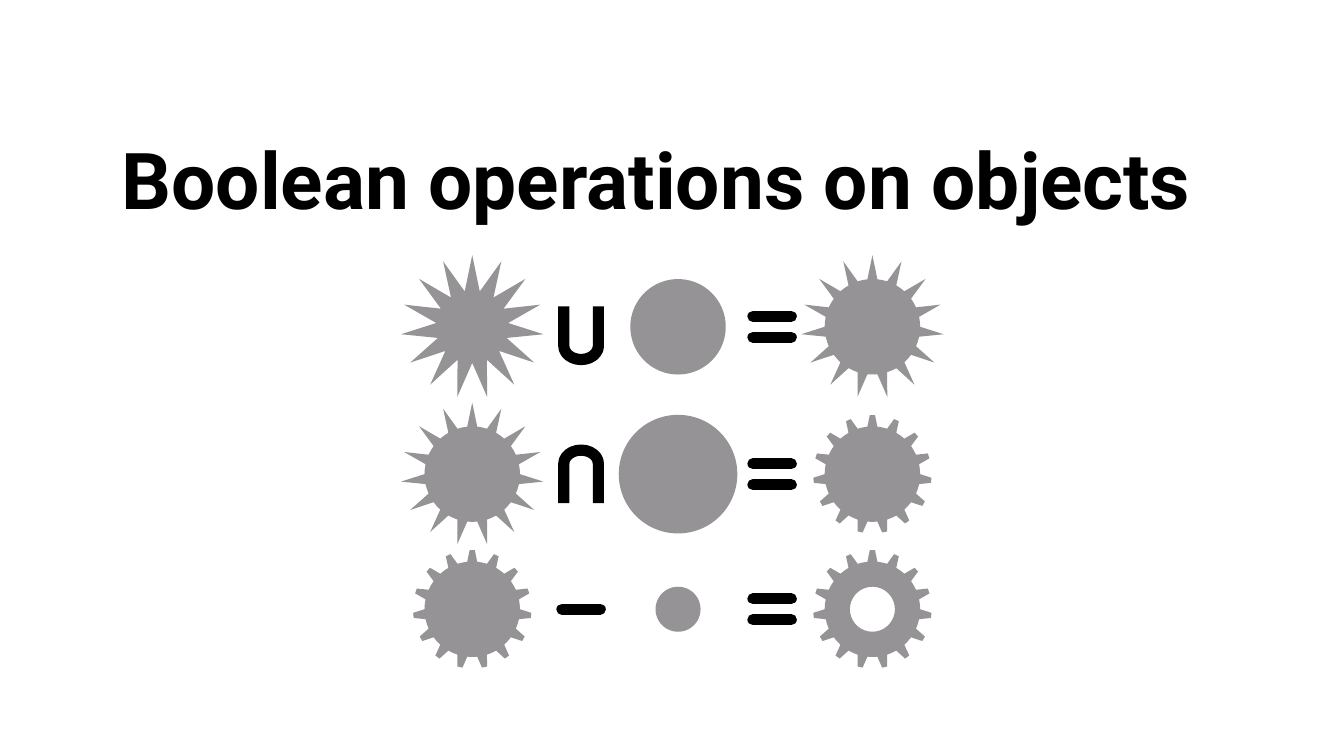
from dataclasses import dataclass
from math import cos, pi, radians, sin

from lxml.etree import SubElement
from pptx import Presentation
from pptx.dml.color import RGBColor
from pptx.enum.shapes import MSO_CONNECTOR, MSO_SHAPE
from pptx.enum.text import MSO_ANCHOR, MSO_AUTO_SIZE, PP_ALIGN
from pptx.oxml.ns import qn
from pptx.util import Inches, Pt


@dataclass(frozen=True)
class Theme:
    ink: RGBColor = RGBColor(0x00, 0x00, 0x00)
    solid: RGBColor = RGBColor(0x95, 0x93, 0x95)
    font: str = "Roboto"
    title_size: Pt = Pt(112)
    stroke: Pt = Pt(16)
    inset: int = Inches(0.06)


SLIDE_WIDTH, SLIDE_HEIGHT = Inches(26.67), Inches(15)
GRID_COLUMNS = 80
CELL = SLIDE_WIDTH / GRID_COLUMNS

LEFT, OPERATOR, MIDDLE, EQUALS, RESULT = 28.11, 34.59, 40.36, 45.96, 51.93
UNION_ROW, INTERSECTION_ROW, DIFFERENCE_ROW = 19.45, 28.22, 36.26
TIP, VALLEY, PITCH = 4.26, 2.15, 24
DISC, CUTTER, HOLE = 2.84, 3.53, 1.34
DASH, EQUALS_OFFSET = 1.14, 0.62
CUP_HALF_WIDTH, CUP_HALF_HEIGHT, CUP_DEPTH = 1.03, 1.58, 0.81


def star_radius(angle):
    half = radians(PITCH / 2)
    offset = radians(angle % PITCH)
    offset = min(offset, 2 * half - offset)
    return sin(half) / (sin(half - offset) / TIP + sin(offset) / VALLEY)


def ring(corners, inner=0, outer=TIP):
    angles = [start + corner for start in range(0, 360, PITCH) for corner in corners]
    return [
        (radians(angle), min(max(star_radius(angle), inner), outer))
        for angle in angles
    ]


STAR = ring([0, 12])
SUN = ring([0, 6, 12, 18], inner=DISC)
GEAR = ring([2.5, 6, 12, 18, 21.5], inner=DISC, outer=CUTTER)
BORE = [(step * pi / 18, HOLE) for step in range(36)]


class Board:
    def __init__(self, deck, theme):
        self.theme = theme
        self.slide = deck.slides.add_slide(deck.slide_layouts[5])
        self.figures = self.slide.shapes.add_group_shape().shapes

    def title(self, text, column, row, columns, rows):
        box = self.slide.shapes.title
        box.left, box.top, box.width, box.height = (
            round(length * CELL) for length in (column, row, columns, rows)
        )
        frame = box.text_frame
        frame.text = text
        frame.word_wrap = True
        frame.auto_size = MSO_AUTO_SIZE.NONE
        frame.vertical_anchor = MSO_ANCHOR.MIDDLE
        frame.margin_left = frame.margin_right = self.theme.inset
        frame.margin_top = frame.margin_bottom = self.theme.inset
        para = frame.paragraphs[0]
        para.alignment = PP_ALIGN.LEFT
        para.font.name = self.theme.font
        para.font.size = self.theme.title_size
        para.font.bold = True
        para.font.color.rgb = self.theme.ink

    def fill(self, shape):
        shape.shadow.inherit = False
        shape.fill.solid()
        shape.fill.fore_color.rgb = self.theme.solid
        shape.line.fill.background()

    def stroke(self, shape):
        shape.line.color.rgb = self.theme.ink
        shape.line.width = self.theme.stroke

    def disc(self, column, row, radius):
        corner = [round((center - radius) * CELL) for center in (column, row)]
        size = round(2 * radius * CELL)
        self.fill(self.figures.add_shape(MSO_SHAPE.OVAL, *corner, size, size))

    def outline(self, column, row, *contours):
        builder = None
        for contour in contours:
            points = [
                (
                    (column + radius * sin(angle)) * CELL,
                    (row - radius * cos(angle)) * CELL,
                )
                for angle, radius in contour
            ]
            if builder is None:
                builder = self.figures.build_freeform(*points[0])
            else:
                builder.move_to(*points[0])
            builder.add_line_segments(points[1:], close=True)
        self.fill(builder.convert_to_shape())

    def dash(self, column, row):
        start, end, level = (
            round(place * CELL) for place in (column - DASH, column + DASH, row)
        )
        line = self.figures.add_connector(
            MSO_CONNECTOR.STRAIGHT, start, level, end, level
        )
        self.stroke(line)
        line._element.spPr.find(qn("a:ln")).set("cap", "rnd")
        SubElement(line._element.spPr, qn("a:effectLst"))

    def equals(self, column, row):
        for side in (-1, 1):
            self.dash(column, row + side * EQUALS_OFFSET)

    def cup(self, column, row, direction):
        bend = CUP_HALF_HEIGHT - CUP_DEPTH
        arc = [
            (-CUP_HALF_WIDTH * cos(angle), bend + CUP_DEPTH * sin(angle))
            for angle in (step * pi / 12 for step in range(13))
        ]
        outline = [
            (-CUP_HALF_WIDTH, -CUP_HALF_HEIGHT),
            *arc,
            (CUP_HALF_WIDTH, -CUP_HALF_HEIGHT),
        ]
        points = [
            ((column + x) * CELL, (row + direction * y) * CELL) for x, y in outline
        ]
        builder = self.figures.build_freeform(*points[0])
        builder.add_line_segments(points[1:], close=False)
        shape = builder.convert_to_shape()
        shape.shadow.inherit = False
        shape.fill.background()
        self.stroke(shape)


def main():
    deck = Presentation()
    deck.slide_width, deck.slide_height = SLIDE_WIDTH, SLIDE_HEIGHT
    board = Board(deck, Theme())
    board.title("Boolean operations on objects", 7.05, 6.54, 68.9, 8.13)

    rows = [
        (UNION_ROW, STAR, DISC, [SUN]),
        (INTERSECTION_ROW, SUN, CUTTER, [GEAR]),
        (DIFFERENCE_ROW, GEAR, HOLE, [GEAR, BORE]),
    ]
    for row, operand, radius, result in rows:
        board.outline(LEFT, row, operand)
        board.disc(MIDDLE, row, radius)
        board.equals(EQUALS, row)
        board.outline(RESULT, row, *result)

    board.cup(OPERATOR, UNION_ROW + 0.37, 1)
    board.cup(OPERATOR, INTERSECTION_ROW + 0.15, -1)
    board.dash(OPERATOR, DIFFERENCE_ROW)
    deck.save("out.pptx")


if __name__ == "__main__":
    main()
